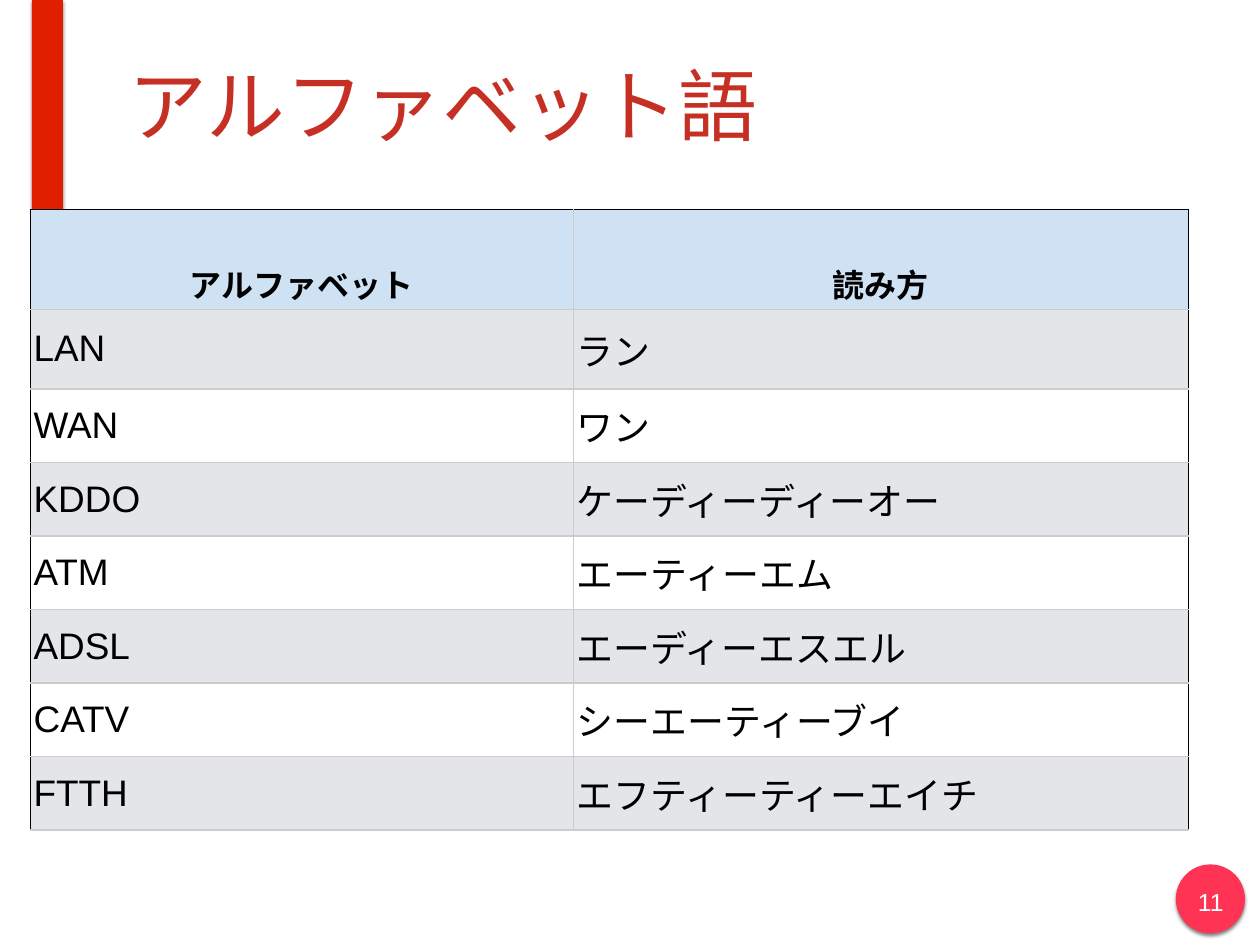
"""Build the slide listing alphabet abbreviations with their Japanese readings."""
from dataclasses import dataclass

from lxml import etree
from pptx import Presentation
from pptx.dml.color import RGBColor
from pptx.enum.shapes import MSO_SHAPE
from pptx.enum.text import MSO_ANCHOR, MSO_AUTO_SIZE, PP_ALIGN
from pptx.oxml.ns import qn
from pptx.util import Emu, Inches, Pt

LEFT, CENTER = PP_ALIGN.LEFT, PP_ALIGN.CENTER
MIDDLE = MSO_ANCHOR.MIDDLE
OVAL, RECT = MSO_SHAPE.OVAL, MSO_SHAPE.RECTANGLE
NO_FIT = MSO_AUTO_SIZE.NONE
TITLE_ONLY = 5

FONT = "Arial"
WIDTH, HEIGHT = Inches(14.22), Inches(10.67)
COLORS = {
    "title": "C63024",
    "bar": "DF1F00",
    "badge": "FF3455",
    "header": "CFE2F3",
    "band": "E3E5E8",
    "white": "FFFFFF",
    "black": "000000",
    "grid": "CCCCCC",
}


@dataclass(frozen=True)
class Box:
    """Place on the slide, in percent of its width and height."""

    left: float
    top: float
    width: float
    height: float

    def emu(self) -> tuple[Emu, Emu, Emu, Emu]:
        """Return left, top, width and height as lengths."""
        return across(self.left), down(self.top), across(self.width), down(self.height)


@dataclass(frozen=True)
class Decoration:
    """Filled preset shape with a soft shadow."""

    preset: MSO_SHAPE
    box: Box
    color: str


@dataclass(frozen=True)
class Reading:
    """Abbreviation and how it is read aloud."""

    word: str
    kana: str


DECORATIONS = [
    Decoration(OVAL, Box(93.32, 91.47, 5.49, 7.31), "badge"),
    Decoration(RECT, Box(2.53, 0, 2.46, 22.12), "bar"),
]
TITLE_BOX = Box(9.77, 1.12, 85.37, 19.87)
NUMBER_BOX = Box(94.37, 93.25, 3.45, 4.22)
TABLE_BOX = Box(2.39, 22.12, 91.91, 61.95)
COLUMNS = [43.11, 48.8]
HEADER = Reading("アルファベット", "読み方")
READINGS = [
    Reading("LAN", "ラン"),
    Reading("WAN", "ワン"),
    Reading("KDDO", "ケーディーディーオー"),
    Reading("ATM", "エーティーエム"),
    Reading("ADSL", "エーディーエスエル"),
    Reading("CATV", "シーエーティーブイ"),
    Reading("FTTH", "エフティーティーエイチ"),
]
ROWS = [6.84, 8.43] + [7.78] * (len(READINGS) - 1)


def across(share: float) -> Emu:
    """Turn a percentage of the slide width into a length."""
    return Emu(round(WIDTH * share / 100))


def down(share: float) -> Emu:
    """Turn a percentage of the slide height into a length."""
    return Emu(round(HEIGHT * share / 100))


def rgb(name: str) -> RGBColor:
    """Look up a named colour."""
    return RGBColor.from_string(COLORS[name])


def write(tf, text: str, *, size: float, color: str = "black", bold: bool = False,
          align: PP_ALIGN = LEFT, spacing: float | None = None) -> None:
    """Put one formatted paragraph into a text frame."""
    p = tf.paragraphs[0]
    p.alignment = align
    if spacing:
        p.line_spacing = spacing
    r = p.add_run()
    r.text = text
    r.font.name = FONT
    r.font.size = Pt(size)
    r.font.bold = bold
    r.font.color.rgb = rgb(color)


def frame(tf) -> None:
    """Give a text frame its insets and wrapping."""
    tf.auto_size = NO_FIT
    tf.word_wrap = True
    tf.margin_left = tf.margin_right = tf.margin_top = tf.margin_bottom = Inches(0.06)


def add_color(parent, name: str):
    """Append a colour element and return it."""
    return etree.SubElement(parent, qn("a:srgbClr"), val=COLORS[name])


def draw_decoration(slide, item: Decoration) -> None:
    """Draw a filled shape and its shadow."""
    sp = slide.shapes.add_shape(item.preset, *item.box.emu())
    sp.fill.solid()
    sp.fill.fore_color.rgb = rgb(item.color)
    sp.line.fill.background()
    sp.shadow.inherit = False
    effects = sp._element.spPr.find(qn("a:effectLst"))
    shadow = etree.SubElement(effects, qn("a:outerShdw"), blurRad=str(Pt(3)),
                              dist=str(Pt(2)), dir="5400000", rotWithShape="0")
    etree.SubElement(add_color(shadow, "black"), qn("a:alpha"), val="50000")


def draw_title(slide, text: str) -> None:
    """Fill and place the title placeholder."""
    sp = slide.shapes.title
    sp.left, sp.top, sp.width, sp.height = TITLE_BOX.emu()
    frame(sp.text_frame)
    sp.text_frame.vertical_anchor = MIDDLE
    write(sp.text_frame, text, size=64, color="title")


def draw_number(slide, text: str) -> None:
    """Write the slide number on its badge."""
    sp = slide.shapes.add_textbox(*NUMBER_BOX.emu())
    frame(sp.text_frame)
    write(sp.text_frame, text, size=20, color="white", align=CENTER)


def set_borders(cell, edges: dict[str, str]) -> None:
    """Draw the named colour on each edge of a cell."""
    tc_pr = cell._tc.get_or_add_tcPr()
    for i, (edge, color) in enumerate(edges.items()):
        ln = etree.Element(qn(f"a:ln{edge}"), w=str(Pt(1)))
        add_color(etree.SubElement(ln, qn("a:solidFill")), color)
        tc_pr.insert(i, ln)


def draw_table(slide) -> None:
    """Draw the table of abbreviations and readings."""
    shape = slide.shapes.add_table(len(ROWS), len(COLUMNS), *TABLE_BOX.emu())
    table = shape.table
    table.first_row = table.horz_banding = False
    for column, share in zip(table.columns, COLUMNS):
        column.width = across(share)
    for i, reading in enumerate([HEADER, *READINGS]):
        table.rows[i].height = down(ROWS[i])
        fill = "header" if i == 0 else "band" if i % 2 else "white"
        style = dict(size=26, bold=True, align=CENTER, spacing=2.05) if i == 0 else dict(size=30)
        for j, text in enumerate((reading.word, reading.kana)):
            cell = table.cell(i, j)
            cell.vertical_anchor = MIDDLE
            cell.margin_left = cell.margin_right = Inches(0.04)
            cell.margin_top = cell.margin_bottom = Inches(0.03)
            cell.fill.solid()
            cell.fill.fore_color.rgb = rgb(fill)
            write(cell.text_frame, text, **style)
            set_borders(cell, {
                "L": "black" if j == 0 else "grid",
                "R": "black" if j == len(COLUMNS) - 1 else "grid",
                "T": "black" if i == 0 else "grid",
                "B": "grid",
            })


def main() -> None:
    """Assemble and save the slide."""
    prs = Presentation()
    prs.slide_width, prs.slide_height = WIDTH, HEIGHT
    slide = prs.slides.add_slide(prs.slide_layouts[TITLE_ONLY])
    for item in DECORATIONS:
        draw_decoration(slide, item)
    draw_number(slide, "11")
    draw_title(slide, "アルファベット語")
    draw_table(slide)
    prs.save("out.pptx")


if __name__ == "__main__":
    main()
